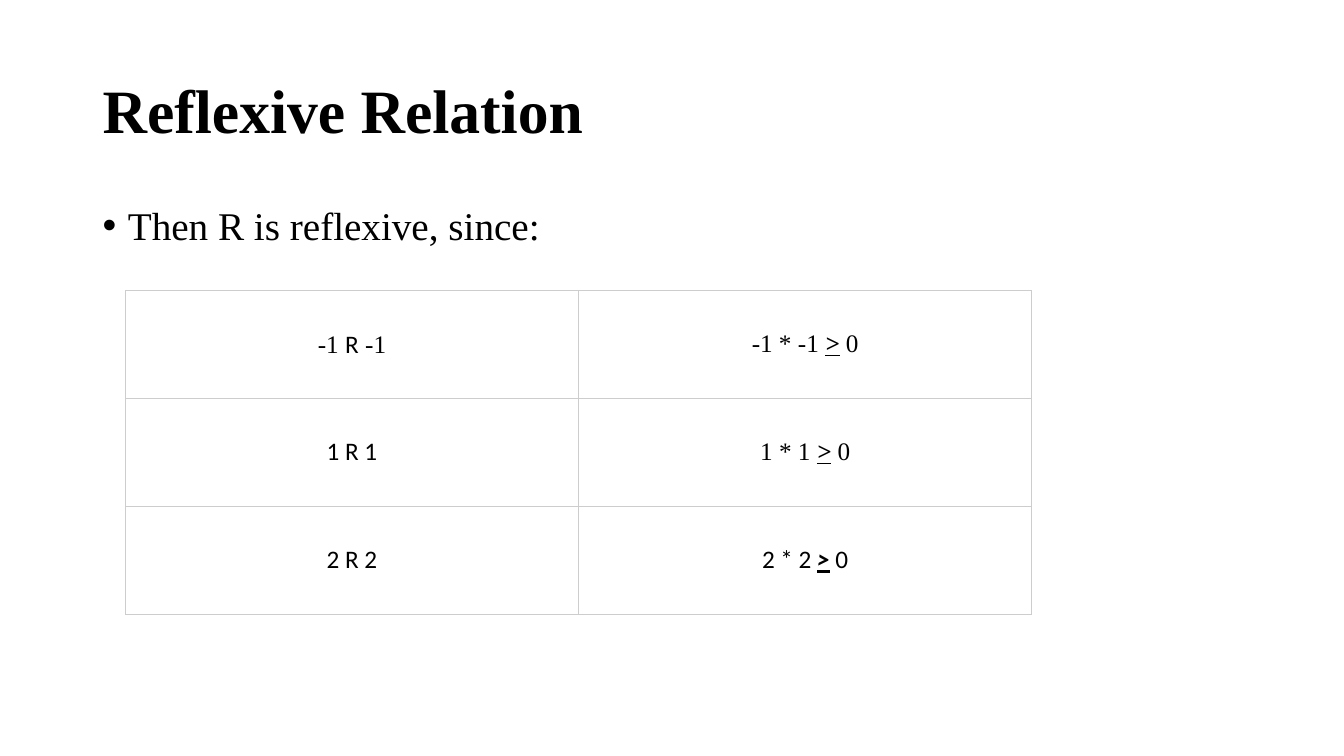
from dataclasses import dataclass

from lxml.etree import SubElement as Sub
from pptx import Presentation
from pptx.dml.color import RGBColor as RGB
from pptx.enum.text import MSO_ANCHOR as Anchor, MSO_AUTO_SIZE as AutoSize, PP_ALIGN as Align
from pptx.oxml.ns import qn
from pptx.util import Cm, Pt


@dataclass(frozen=True)
class Theme:
    serif: str = "Times New Roman"
    sans: str = "Calibri"
    ink: RGB = RGB(0, 0, 0)
    paper: RGB = RGB(255, 255, 255)
    border: str = "CDCDCD"
    title: int = 44
    body: int = 28
    cell: int = 18


@dataclass(frozen=True)
class Run:
    text: str
    font: str
    bold: bool = False
    italic: bool = False
    underline: bool = False


@dataclass(frozen=True)
class Box:
    left: float
    top: float
    width: float
    height: float

    def lengths(self) -> list:
        return [Cm(v) for v in (self.left, self.top, self.width, self.height)]


THEME = Theme()
TITLE_BOX = Box(2.33, 1.01, 29.21, 3.68)
BODY_BOX = Box(2.33, 5.07, 29.21, 12.09)
TABLE_BOX = Box(3.16, 7.32, 22.84, 8.15)


def product(number: str, font: str) -> list[Run]:
    return [
        Run(f"{number} * {number} ", font),
        Run(">", font, bold=True, italic=True, underline=True),
        Run(" ", font, bold=True, italic=True),
        Run("0", font),
    ]


ROWS = [
    [
        [Run("-1 ", THEME.serif), Run("R", THEME.sans), Run(" -1", THEME.serif)],
        product("-1", THEME.serif),
    ],
    [[Run("1 R 1", THEME.sans)], product("1", THEME.serif)],
    [[Run("2 R 2", THEME.sans)], product("2", THEME.sans)],
]


def add_runs(p, runs: list[Run], size: int) -> None:
    for run in runs:
        r = p.add_run()
        r.text = run.text
        r.font.name = run.font
        r.font.size = Pt(size)
        r.font.bold = run.bold
        r.font.italic = run.italic
        r.font.underline = run.underline
        r.font.color.rgb = THEME.ink


def fill_placeholder(sp, box: Box, run: Run, size: int, anchor: Anchor, bullet: bool = False) -> None:
    sp.left, sp.top, sp.width, sp.height = box.lengths()
    tf = sp.text_frame
    tf.word_wrap = True
    tf.auto_size = AutoSize.NONE
    tf.vertical_anchor = anchor
    p = tf.paragraphs[0]
    p.alignment = Align.LEFT
    p.line_spacing = 0.9
    p.space_before = Pt(0)
    if bullet:
        pPr = p._p.get_or_add_pPr()
        pPr.set("marL", str(Cm(0.64)))
        pPr.set("indent", str(-Cm(0.64)))
        Sub(pPr, qn("a:buFont"), typeface="Arial")
        Sub(pPr, qn("a:buChar"), char="•")
    add_runs(p, [run], size)


def add_borders(cell) -> None:
    tcPr = cell._tc.get_or_add_tcPr()
    for side in ("lnL", "lnR", "lnT", "lnB"):
        ln = Sub(tcPr, qn(f"a:{side}"), w=str(Pt(0.5)))
        Sub(Sub(ln, qn("a:solidFill")), qn("a:srgbClr"), val=THEME.border)


def add_relation_table(s, box: Box, rows: list[list[list[Run]]]) -> None:
    table = s.shapes.add_table(len(rows), len(rows[0]), *box.lengths()).table
    table.first_row = table.horz_banding = False
    for i, row in enumerate(rows):
        for j, runs in enumerate(row):
            cell = table.cell(i, j)
            add_borders(cell)
            cell.fill.solid()
            cell.fill.fore_color.rgb = THEME.paper
            cell.vertical_anchor = Anchor.MIDDLE
            p = cell.text_frame.paragraphs[0]
            p.alignment = Align.CENTER
            add_runs(p, runs, THEME.cell)


def main() -> None:
    prs = Presentation()
    prs.slide_width, prs.slide_height = Cm(33.87), Cm(19.05)
    s = prs.slides.add_slide(prs.slide_layouts[1])
    title = Run("Reflexive Relation", THEME.serif, bold=True)
    point = Run("Then R is reflexive, since:", THEME.serif)
    fill_placeholder(s.shapes.title, TITLE_BOX, title, THEME.title, Anchor.MIDDLE)
    fill_placeholder(s.placeholders[1], BODY_BOX, point, THEME.body, Anchor.TOP, bullet=True)
    add_relation_table(s, TABLE_BOX, ROWS)
    prs.save("out.pptx")


if __name__ == "__main__":
    main()
